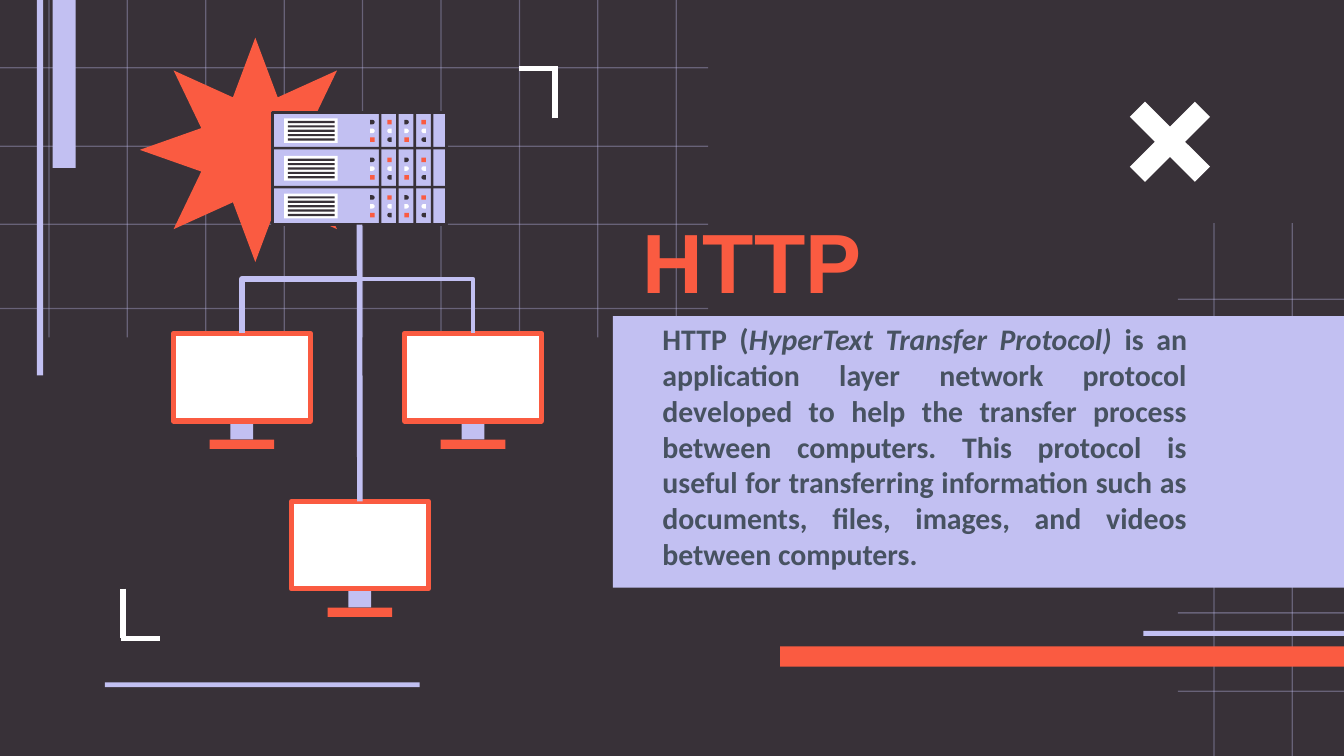
"""Build the HTTP slide with its server and computer network diagram."""
import pptx
import pptx.util
import pptx.dml.color
import pptx.enum.shapes
import pptx.enum.text
import pptx.oxml.ns
from lxml import etree

Pt = pptx.util.Pt
RGBColor = pptx.dml.color.RGBColor
Kind = pptx.enum.shapes.MSO_SHAPE
Link = pptx.enum.shapes.MSO_CONNECTOR
Align = pptx.enum.text.PP_ALIGN
qn = pptx.oxml.ns.qn

DARK = RGBColor(0x38, 0x31, 0x38)
LILAC = RGBColor(0xC2, 0xC0, 0xF2)
ORANGE = RGBColor(0xFA, 0x5B, 0x41)
WHITE = RGBColor(0xFF, 0xFF, 0xFF)
SLATE = RGBColor(0x47, 0x52, 0x61)

WIDTH, HEIGHT = 720, 405
TITLE = [("HTTP", False)]
BODY = [
    ("HTTP (", False),
    ("HyperText Transfer Protocol) ", True),
    ("is an application layer network protocol developed to help the transfer "
     "process between computers. This protocol is useful for transferring "
     "information such as documents, files, images, and videos between computers.", False),
]
GRID_STEP, GRID_LINE = 42, 0.7
GRIDS = [
    {"columns": [650 + GRID_STEP * i for i in range(2)],
     "rows": [160 + GRID_STEP * i for i in range(6)],
     "left": 631, "right": WIDTH, "top": 119.5, "bottom": HEIGHT},
    {"columns": [25.9 + GRID_STEP * i for i in range(9)],
     "rows": [36, 78, 119.8, 164.9],
     "left": 0, "right": 379.4, "top": 0, "bottom": 180.7},
]
BARS = [
    (418, 346.3, 302, 10.8, ORANGE),
    (612.5, 338, 107.5, 2.7, LILAC),
    (56.2, 365.6, 168.6, 2.5, LILAC),
    (28.2, 0, 12.4, 90, LILAC),
    (19.7, 0, 3.5, 201.2, LILAC),
    (328.3, 169.3, 391.7, 145.5, LILAC),
]
CORNERS = [
    (297.4, 63.4, 297.4, 36.7), (298.8, 36.7, 277.9, 36.7),
    (65.9, 315.4, 65.9, 342), (64.8, 342, 85.7, 342),
]
SERVER = (145.8, 60.5, 93.6, 59.8)
SERVER_ROWS = [(60.5, 18.7), (79.9, 20.2), (100.8, 18.9)]
ROW_STEP, COLUMN_STEP = 20.2, 9.3
LIGHTS = [(ORANGE, Kind.RECTANGLE), (WHITE, Kind.FLOWCHART_DELAY), (DARK, Kind.FLOWCHART_DELAY)]
MONITORS = [(129.6, 178.6), (253.4, 178.6), (192.8, 268.6)]
SCREEN_WIDTH, SCREEN_HEIGHT = 73.4, 46.8


def draw_shape(page, bounds, fill, kind=Kind.RECTANGLE, line=None, weight=0,
               adjust=None, rotation=0, alpha=None):
    shape = page.shapes.add_shape(kind, *map(Pt, bounds))
    shape.shadow.inherit = False
    shape.rotation = rotation
    shape.fill.solid()
    shape.fill.fore_color.rgb = fill
    if alpha:
        color = shape._element.spPr.find(".//" + qn("a:srgbClr"))
        etree.SubElement(color, qn("a:alpha")).set("val", str(alpha * 1000))
    if line is None:
        shape.line.fill.background()
    else:
        shape.line.color.rgb = line
        shape.line.width = Pt(weight)
    if adjust is not None:
        shape.adjustments[0] = adjust
    return shape


def draw_line(page, ends, color, weight, kind=Link.STRAIGHT):
    line = page.shapes.add_connector(kind, *map(Pt, ends))
    line.line.color.rgb = color
    line.line.width = Pt(weight)
    etree.SubElement(line._element.spPr, qn("a:effectLst"))
    return line


def write_text(page, spans, bounds, size, font, color, align=Align.LEFT, indent=0):
    box = page.shapes.add_textbox(*map(Pt, bounds))
    frame = box.text_frame
    frame.word_wrap = True
    frame.vertical_anchor = pptx.enum.text.MSO_ANCHOR.MIDDLE
    frame.margin_left = frame.margin_right = Pt(7.2)
    frame.margin_top = frame.margin_bottom = Pt(7.2)
    para = frame.paragraphs[0]
    para.alignment = align
    para._p.get_or_add_pPr().set("marL", str(Pt(indent)))
    for text, italic in spans:
        span = para.add_run()
        span.text = text
        span.font.size = Pt(size)
        span.font.name = font
        span.font.bold = True
        span.font.italic = italic
        span.font.color.rgb = color


def draw_grid(page, grid):
    left, top = grid["left"], grid["top"]
    for y in grid["rows"]:
        draw_shape(page, (left, y, grid["right"] - left, GRID_LINE), LILAC, alpha=35)
    for x in grid["columns"]:
        draw_shape(page, (x, top, GRID_LINE, grid["bottom"] - top), LILAC, alpha=35)


def draw_server(page):
    server = draw_shape(page, SERVER, LILAC, line=DARK, weight=1.5)
    for row, (top, height) in enumerate(SERVER_ROWS):
        shift = row * ROW_STEP
        if row:
            draw_shape(page, (SERVER[0], top - 1.2, SERVER[2], 1.4), DARK)
        draw_shape(page, (152.2, 63.4 + shift, 28.8, 13.2), WHITE)
        for slat in range(5):
            draw_shape(page, (154.2, 64.8 + shift + 2.35 * slat, 25.1, 1.2), DARK)
        for column in range(4):
            draw_shape(page, (202.9 + COLUMN_STEP * column, top, 1.4, height), DARK)
            lights = LIGHTS if column % 2 else LIGHTS[::-1]
            for index, (color, kind) in enumerate(lights):
                place = (198.3 + 9.15 * column, 64.2 + shift + 4.7 * index, 2.4, 2.4)
                draw_shape(page, place, color, kind, rotation=180 * (column % 2))
    return server


def draw_monitor(page, center, top):
    neck_top = top + SCREEN_HEIGHT
    draw_shape(page, (center - 17.3, neck_top + 10.1, 34.6, 5), ORANGE)
    draw_shape(page, (center - 6.1, neck_top, 12.2, 10.1), LILAC)
    bounds = (center - SCREEN_WIDTH / 2, top, SCREEN_WIDTH, SCREEN_HEIGHT)
    return draw_shape(page, bounds, WHITE, line=ORANGE, weight=3)


def link_server(page, server, screen, center, top, weight, kind):
    start_x, start_y = SERVER[0] + SERVER[2] / 2, SERVER[1] + SERVER[3]
    line = draw_line(page, (start_x, start_y, center, top), LILAC, weight, kind)
    line.begin_connect(server, 2)
    line.end_connect(screen, 0)
    if kind == Link.ELBOW:
        across, down = abs(center - start_x), top - start_y
        line.left = Pt((start_x + center - down) / 2)
        line.top = Pt((start_y + top - across) / 2)
        line.width, line.height = Pt(down), Pt(across)
        frame = line._element.spPr.find(qn("a:xfrm"))
        frame.attrib.clear()
        frame.set("rot", "5400000" if center < start_x else "16200000")
        if center > start_x:
            frame.set("flipH", "1")


def main():
    deck = pptx.Presentation()
    deck.slide_width, deck.slide_height = Pt(WIDTH), Pt(HEIGHT)
    page = deck.slides.add_slide(deck.slide_layouts[6])
    page.background.fill.solid()
    page.background.fill.fore_color.rgb = DARK
    for grid in GRIDS:
        draw_grid(page, grid)
    for *bounds, color in BARS:
        draw_shape(page, bounds, color)
    draw_shape(page, (593.3, 42.5, 67, 67), WHITE, Kind.MATH_MULTIPLY, adjust=0.171)
    write_text(page, TITLE, (337, 109.4, 306, 59.8), 45, "Arial", ORANGE)
    write_text(page, BODY, (337, 185, 306, 108), 16, "Calibri", SLATE,
               align=Align.JUSTIFY, indent=10.8)
    for ends in CORNERS:
        draw_line(page, ends, WHITE, 3)
    draw_shape(page, (74.9, 20.2, 123.8, 120.2), ORANGE, Kind.STAR_8_POINT, adjust=0.253)
    server = draw_server(page)
    weights = (3, 2.25, 3)
    kinds = (Link.ELBOW, Link.ELBOW, Link.STRAIGHT)
    for (center, top), weight, kind in zip(MONITORS, weights, kinds):
        screen = draw_monitor(page, center, top)
        link_server(page, server, screen, center, top, weight, kind)
    deck.save("out.pptx")


if __name__ == "__main__":
    main()
